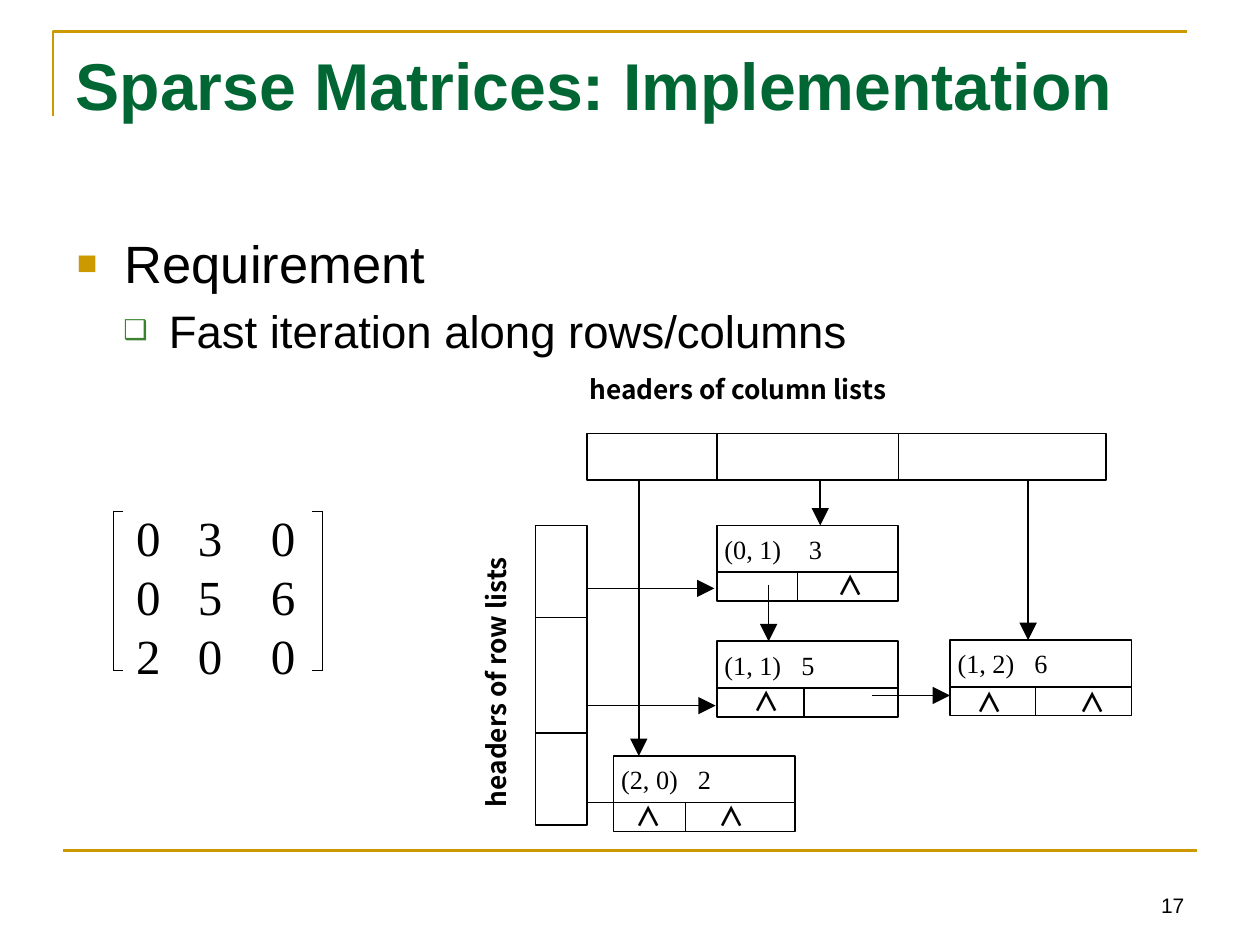
from lxml import etree
from pptx import Presentation
from pptx.dml.color import RGBColor
from pptx.enum.shapes import MSO_CONNECTOR, MSO_SHAPE
from pptx.enum.text import MSO_ANCHOR, MSO_AUTO_SIZE, PP_ALIGN
from pptx.oxml.ns import qn
from pptx.util import Inches, Pt

STRAIGHT, RECT = MSO_CONNECTOR.STRAIGHT, MSO_SHAPE.RECTANGLE
TOP, BOTTOM = MSO_ANCHOR.TOP, MSO_ANCHOR.BOTTOM
LEFT, RIGHT = PP_ALIGN.LEFT, PP_ALIGN.RIGHT
NO_FIT = MSO_AUTO_SIZE.NONE
SANS, SERIF, LABEL = "Arial", "Times New Roman", "Noto Sans CJK SC"
COLORS = {"gold": "CC9900", "title": "006633", "check": "3B812F", "ink": "000000"}

prs = Presentation()
prs.slide_width, prs.slide_height = Inches(10), Inches(7.5)
s = prs.slides.add_slide(prs.slide_layouts[1])


def add_line(x1, y1, x2, y2, width=1, color="ink", arrow=False):
    line = s.shapes.add_connector(STRAIGHT, Inches(x1), Inches(y1), Inches(x2), Inches(y2))
    line.line.color.rgb = RGBColor.from_string(COLORS[color])
    line.line.width = Pt(width)
    if arrow:
        etree.SubElement(line.line._get_or_add_ln(), qn("a:tailEnd"), type="triangle", w="lg", len="lg")
    etree.SubElement(line._element.spPr, qn("a:effectLst"))


def add_text(x, y, w, h, lines, size, font, bold=False, tabs=()):
    """Add an unpadded text box, wrapped only if it has tabs (stop positions in inches)."""
    sp = s.shapes.add_textbox(Inches(x), Inches(y), Inches(w), Inches(h))
    tf = sp.text_frame
    tf.margin_left = tf.margin_right = tf.margin_top = tf.margin_bottom = 0
    tf.word_wrap = bool(tabs)
    tf.text = lines
    for p in tf.paragraphs:
        if tabs:
            stops = etree.SubElement(p._p.get_or_add_pPr(), qn("a:tabLst"))
            for stop in tabs:
                etree.SubElement(stops, qn("a:tab"), pos=str(Inches(stop)), algn="l")
        for r in p.runs:
            r.font.size, r.font.name, r.font.bold = Pt(size), font, bold
            r.font.color.rgb = RGBColor.from_string(COLORS["ink"])
            etree.SubElement(r._r.get_or_add_rPr(), qn("a:ea"), typeface=font)
    return sp


# Slide frame
fb = s.shapes.build_freeform(Inches(0.42), Inches(0.92))
fb.add_line_segments([(Inches(0.42), Inches(0.25)), (Inches(9.42), Inches(0.25))], close=False)
corner = fb.convert_to_shape()
corner.shadow.inherit = False
corner.fill.background()
corner.line.color.rgb = RGBColor.from_string(COLORS["gold"])
corner.line.width = Pt(1.5)
add_line(0.5, 6.75, 9.5, 6.75, 1.5, "gold")

# Title and list
title, body = s.shapes.title, s.placeholders[1]
title.left, title.top, title.width, title.height = Inches(0.5), Inches(0.3), Inches(9), Inches(1.25)
body.left, body.top, body.width, body.height = Inches(0.51), Inches(1.78), Inches(9), Inches(4.95)
title.text_frame.text = "Sparse Matrices: Implementation"
body.text_frame.text = "Requirement\nFast iteration along rows/columns"
for sp in (title, body):
    sp.text_frame.vertical_anchor = TOP
    sp.text_frame.auto_size = NO_FIT

p = title.text_frame.paragraphs[0]
p.alignment = LEFT
font = p.runs[0].font
font.size, font.name, font.bold = Pt(37.8), SANS, True
font.color.rgb = RGBColor.from_string(COLORS["title"])

levels = [(30, 0.38, 0.38, "■", "gold", 65), (26, 0.73, 0.36, "❑", "check", 60)]
for i, (p, (size, margin, hang, bullet, color, percent)) in enumerate(zip(body.text_frame.paragraphs, levels)):
    p.level = i
    p.space_before = Pt(size * 0.2)
    pPr = p._p.get_or_add_pPr()
    pPr.set("marL", str(Inches(margin)))
    pPr.set("indent", str(-Inches(hang)))
    etree.SubElement(etree.SubElement(pPr, qn("a:buClr")), qn("a:srgbClr"), val=COLORS[color])
    etree.SubElement(pPr, qn("a:buSzPct"), val=str(percent * 1000))
    etree.SubElement(pPr, qn("a:buChar"), char=bullet)
    font = p.runs[0].font
    font.size, font.name = Pt(size), SANS
    font.color.rgb = RGBColor.from_string(COLORS["ink"])

number = add_text(7.17, 6.83, 2.23, 0.45, "17", 12, SANS)
number.text_frame.word_wrap = True
number.text_frame.vertical_anchor = BOTTOM
number.text_frame.paragraphs[0].alignment = RIGHT

# Matrix in square brackets
add_text(1.08, 4.03, 1.4, 1.4, "0\t3\t0\n0\t5\t6\n2\t0\t0", 28, SERIF, tabs=(0.49, 1.07))
for outer, inner in ((0.9, 0.98), (2.56, 2.48)):
    add_line(outer, 4.06, outer, 5.32, 0.75)
    for y in (4.06, 5.32):
        add_line(outer, y, inner, y, 0.75)

# Header arrays and list nodes
nodes = [  # x, y, index, value, value offset, divider x
    (5.69, 4.17, "(0, 1)", "3", 0.67, 6.33),
    (5.69, 5.09, "(1, 1)", "5", 0.61, 6.38),
    (4.87, 6.00, "(2, 0)", "2", 0.61, 5.44),
    (7.54, 5.08, "(1, 2)", "6", 0.61, 8.22),
]
boxes = [(4.66, 3.44, 4.12, 0.37), (4.25, 4.17, 0.41, 2.38)]
boxes += [(x, y, 1.44, 0.6) for x, y, *rest in nodes]
for box in boxes:
    sp = s.shapes.add_shape(RECT, *map(Inches, box))
    sp.shadow.inherit = False
    sp.fill.background()
    sp.line.color.rgb = RGBColor.from_string(COLORS["ink"])
    sp.line.width = Pt(1)

for x in (5.69, 7.13):
    add_line(x, 3.44, x, 3.81)
for y in (4.9, 5.82):
    add_line(4.25, y, 4.66, y)
for x, y, index, value, offset, divider in nodes:
    add_text(x + 0.06, y + 0.06, 1.3, 0.25, f"{index}\t{value}", 15, SERIF, tabs=(offset,))
    add_line(x, y + 0.37, x + 1.44, y + 0.37)
    add_line(divider, y + 0.37, divider, y + 0.6, 0.75)

# Links
links = [
    (4.65, 4.67, 5.67, 4.67), (4.67, 5.6, 5.68, 5.6), (6.92, 5.52, 7.54, 5.52),
    (5.07, 3.81, 5.07, 6), (6.1, 4.64, 6.1, 5.09), (6.51, 3.81, 6.51, 4.17), (8.16, 3.81, 8.16, 5.08),
]
for link in links:
    add_line(*link, arrow=True)
add_line(4.66, 6.37, 4.87, 6.37)

# Null pointers and captions
for x, y in ((5.04, 6.35), (5.7, 6.35), (7.75, 5.45), (8.57, 5.45), (5.98, 5.44), (6.65, 4.52)):
    add_text(x, y, 0.21, 0.25, "∧", 15, LABEL, True)
add_text(4.68, 2.96, 2.42, 0.25, "headers of column lists", 15, LABEL, True)
add_text(2.89, 5.23, 2.1, 0.25, "headers of row lists", 15, LABEL, True).rotation = 270

prs.save("out.pptx")
